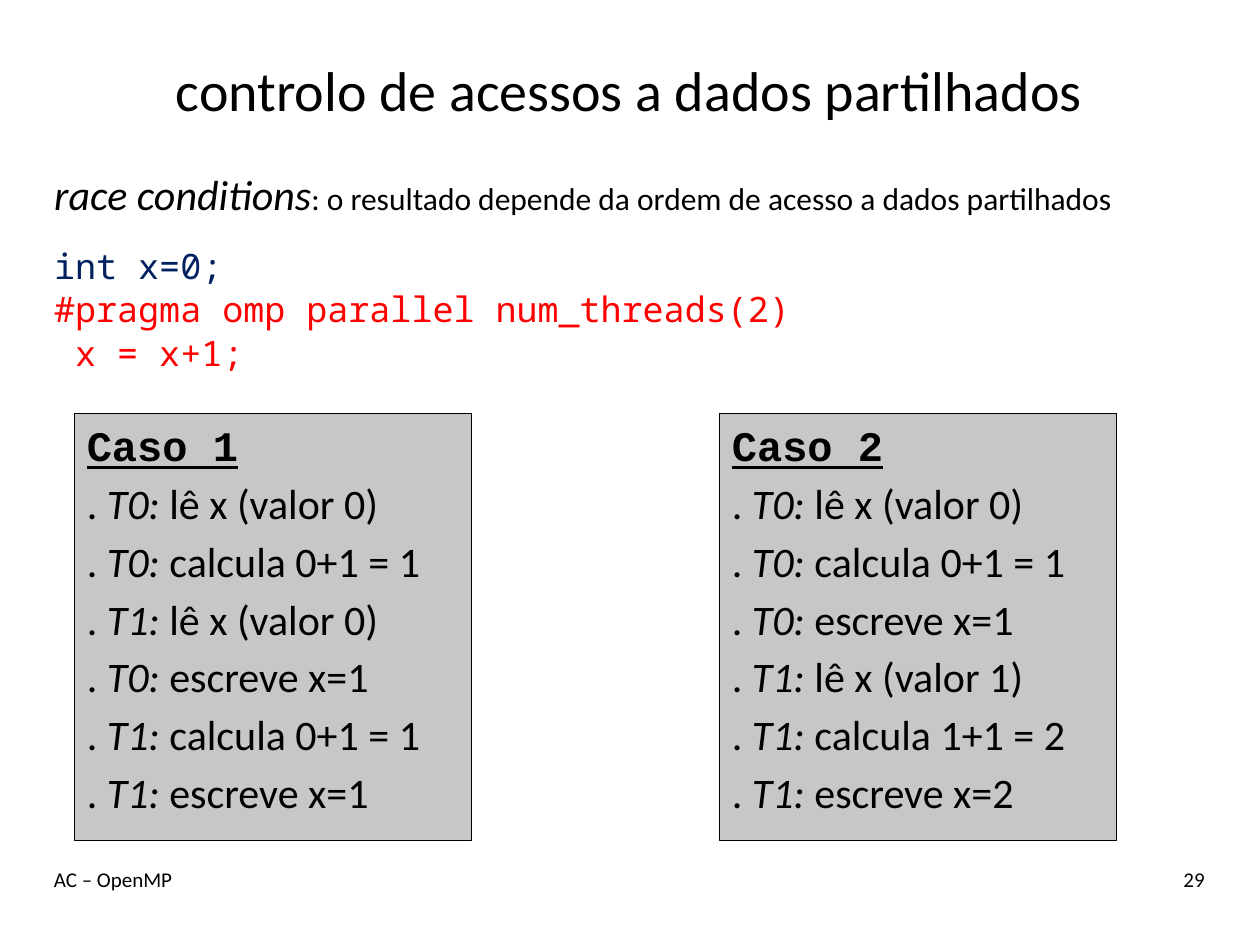
from pptx import Presentation
from pptx.dml.color import RGBColor
from pptx.enum.shapes import MSO_SHAPE
from pptx.enum.text import MSO_ANCHOR, MSO_AUTO_SIZE, PP_ALIGN
from pptx.oxml.ns import qn
from pptx.util import Inches, Pt

RECTANGLE = MSO_SHAPE.RECTANGLE
TOP, MIDDLE = MSO_ANCHOR.TOP, MSO_ANCHOR.MIDDLE
LEFT, CENTER, RIGHT = PP_ALIGN.LEFT, PP_ALIGN.CENTER, PP_ALIGN.RIGHT
NO_AUTOFIT = MSO_AUTO_SIZE.NONE

BLACK = RGBColor(0x00, 0x00, 0x00)
NAVY = RGBColor(0x00, 0x20, 0x60)
RED = RGBColor(0xFF, 0x00, 0x00)
GRAY = RGBColor(0xC7, 0xC7, 0xC7)

TEXT_FONT = "Calibri"
CODE_FONT = "Noto Sans Mono"
HEADING_FONT = "Courier New"

CODE = [
    ("int x=0;", NAVY),
    ("#pragma omp parallel num_threads(2)", RED),
    (" x = x+1;", RED),
]
CASES = [
    ("Caso 1", 0.59, [
        ("T0:", "lê x (valor 0)"),
        ("T0:", "calcula 0+1 = 1"),
        ("T1:", "lê x (valor 0)"),
        ("T0:", "escreve x=1"),
        ("T1:", "calcula 0+1 = 1"),
        ("T1:", "escreve x=1"),
    ]),
    ("Caso 2", 5.71, [
        ("T0:", "lê x (valor 0)"),
        ("T0:", "calcula 0+1 = 1"),
        ("T0:", "escreve x=1"),
        ("T1:", "lê x (valor 1)"),
        ("T1:", "calcula 1+1 = 2"),
        ("T1:", "escreve x=2"),
    ]),
]


def place(shape, left, top, width, height):
    shape.left, shape.top = Inches(left), Inches(top)
    shape.width, shape.height = Inches(width), Inches(height)


def prepare_frame(shape, anchor=TOP):
    frame = shape.text_frame
    frame.word_wrap = True
    frame.auto_size = NO_AUTOFIT
    frame.vertical_anchor = anchor
    return frame


def add_run(paragraph, text, size, font=TEXT_FONT, color=BLACK, italic=False):
    run = paragraph.add_run()
    run.text = text
    run.font.size = Pt(size)
    run.font.name = font
    run.font.color.rgb = color
    run.font.bold = False
    run.font.italic = italic
    return run


def next_paragraph(frame, space_before):
    first = frame.paragraphs[0]
    paragraph = frame.add_paragraph() if first.runs else first
    paragraph.alignment = LEFT
    paragraph.space_before = Pt(space_before)
    return paragraph


def next_body_paragraph(frame, space_before):
    paragraph = next_paragraph(frame, space_before)
    paragraph.line_spacing = 0.9
    properties = paragraph._p.get_or_add_pPr()
    properties.set("marL", "0")
    properties.set("indent", "0")
    properties.append(properties.makeelement(qn("a:buNone"), {}))
    return paragraph


def fill_title(title):
    place(title, 0.33, 0.25, 9.33, 0.92)
    paragraph = prepare_frame(title, MIDDLE).paragraphs[0]
    paragraph.alignment = CENTER
    add_run(paragraph, "controlo de acessos a dados partilhados", 32)


def fill_body(body):
    place(body, 0.33, 1.33, 9.33, 1.94)
    frame = prepare_frame(body)
    definition = next_body_paragraph(frame, 4.25)
    definition.space_after = Pt(13.4)
    add_run(definition, "race conditions", 24, italic=True)
    add_run(definition, ": o resultado depende da ordem de acesso a dados partilhados", 18)
    for line, color in CODE:
        add_run(next_body_paragraph(frame, 3.5), line, 20, CODE_FONT, color)


def add_case(slide, heading, left, steps):
    box = slide.shapes.add_shape(
        RECTANGLE, Inches(left), Inches(3.28), Inches(3.15), Inches(3.39))
    box.shadow.inherit = False
    box.fill.solid()
    box.fill.fore_color.rgb = GRAY
    box.line.color.rgb = BLACK
    box.line.width = Pt(0.75)
    frame = prepare_frame(box)
    run = add_run(next_paragraph(frame, 4.25), heading, 24, HEADING_FONT)
    run.font.bold = True
    run.font.underline = True
    for thread, action in steps:
        paragraph = next_paragraph(frame, 4.25)
        add_run(paragraph, ". ", 24)
        add_run(paragraph, thread, 24, italic=True)
        add_run(paragraph, f" {action}", 24)


def add_footer(slide, text, left, width, alignment):
    box = slide.shapes.add_textbox(
        Inches(left), Inches(6.83), Inches(width), Inches(0.5))
    paragraph = prepare_frame(box).paragraphs[0]
    paragraph.alignment = alignment
    add_run(paragraph, text, 12)


def main():
    """Build the slide on race conditions and save it."""
    presentation = Presentation()
    presentation.slide_width = Inches(10)
    presentation.slide_height = Inches(7.5)
    slide = presentation.slides.add_slide(presentation.slide_layouts[1])
    fill_title(slide.shapes.title)
    fill_body(slide.placeholders[1])
    for heading, left, steps in CASES:
        add_case(slide, heading, left, steps)
    add_footer(slide, "AC – OpenMP", 0.33, 7, LEFT)
    add_footer(slide, "29", 8.33, 1.33, RIGHT)
    presentation.save("out.pptx")


if __name__ == "__main__":
    main()
